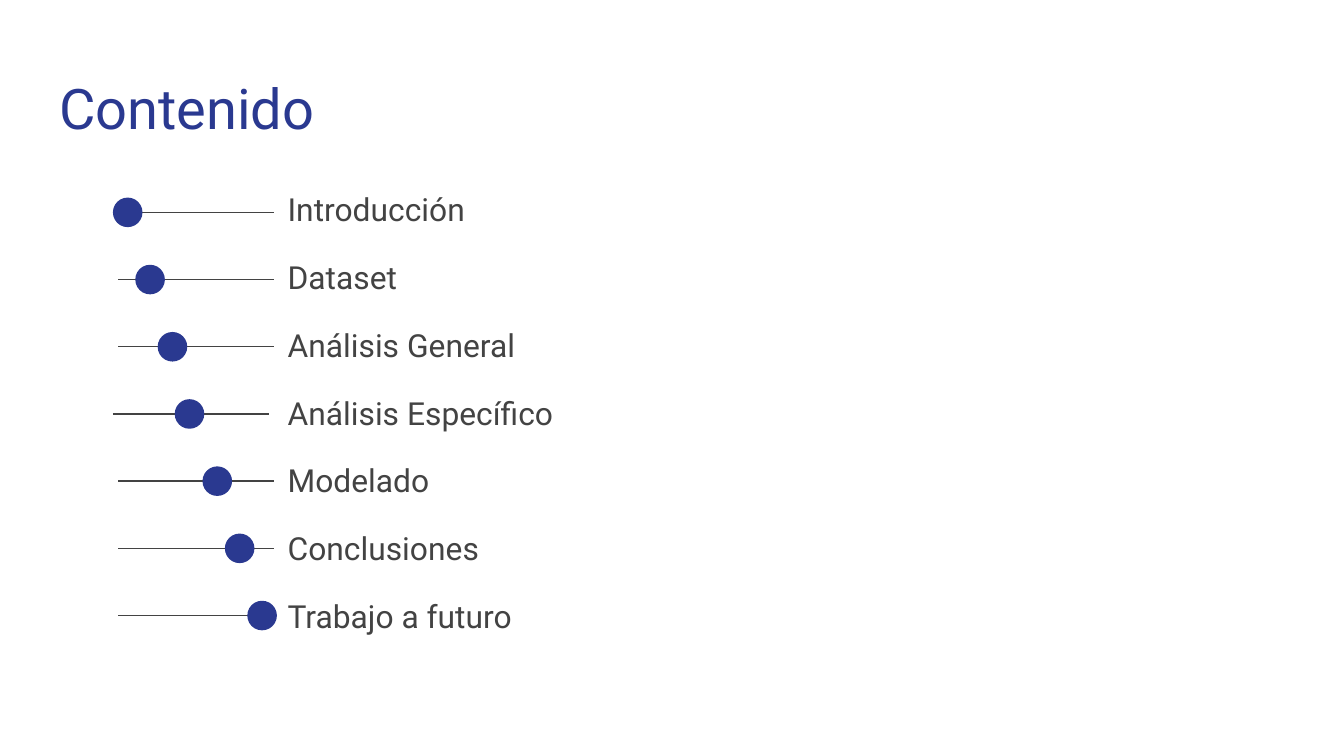
import pptx
import pptx.dml.color
import pptx.enum.shapes
import pptx.enum.text
import pptx.oxml.ns
import pptx.util
from lxml import etree
from pptx.util import Inches

FONT = "Roboto"
BLUE = "2A3990"
GRAY = "434343"
TOPICS = [
    "Introducción",
    "Dataset",
    "Análisis General",
    "Análisis Específico",
    "Modelado",
    "Conclusiones",
    "Trabajo a futuro",
]
SHIFTED_TOPIC = "Análisis Específico"
DOT_SIZE = 0.22


def rgb(color):
    return pptx.dml.color.RGBColor.from_string(color)


def place_text(placeholder, left, top, width, height, lines, size, color):
    placeholder.left, placeholder.top = Inches(left), Inches(top)
    placeholder.width, placeholder.height = Inches(width), Inches(height)
    frame = placeholder.text_frame
    frame.text = "\n".join(lines)
    frame.word_wrap = True
    frame.auto_size = pptx.enum.text.MSO_AUTO_SIZE.NONE
    frame.vertical_anchor = pptx.enum.text.MSO_ANCHOR.TOP
    frame.margin_left = frame.margin_right = Inches(0.1)
    frame.margin_top = frame.margin_bottom = Inches(0.1)
    for paragraph in frame.paragraphs:
        paragraph.alignment = pptx.enum.text.PP_ALIGN.LEFT
        paragraph.space_before = pptx.util.Pt(0)
        paragraph.font.name = FONT
        paragraph.font.size = pptx.util.Pt(size)
        paragraph.font.color.rgb = rgb(color)
    return frame


def format_topics(frame):
    for index, paragraph in enumerate(frame.paragraphs):
        paragraph.space_before = pptx.util.Pt(16 if index else 0)
        properties = paragraph._p.get_or_add_pPr()
        properties.set("marL", "0")
        properties.set("indent", "0")
        bullet = etree.Element(pptx.oxml.ns.qn("a:buNone"))
        properties.insert_element_before(bullet, "a:tabLst", "a:defRPr", "a:extLst")
    frame.paragraphs[-1].space_after = pptx.util.Pt(16)


def add_track(group, left, y):
    track = group.shapes.add_connector(
        pptx.enum.shapes.MSO_CONNECTOR.STRAIGHT,
        Inches(left), Inches(y), Inches(left + 1.16), Inches(y),
    )
    track.line.color.rgb = rgb(GRAY)
    track.line.width = pptx.util.Pt(0.75)
    etree.SubElement(track._element.spPr, pptx.oxml.ns.qn("a:effectLst"))


def add_dot(group, left, y):
    dot = group.shapes.add_shape(
        pptx.enum.shapes.MSO_SHAPE.OVAL,
        Inches(left), Inches(y - DOT_SIZE / 2), Inches(DOT_SIZE), Inches(DOT_SIZE),
    )
    dot.rotation = 270
    dot.shadow.inherit = False
    dot.fill.solid()
    dot.fill.fore_color.rgb = rgb(BLUE)
    dot.line.fill.background()


def add_slider(slide, index, topic):
    shift = -0.04 if topic == SHIFTED_TOPIC else 0
    y = 1.58 + 0.5 * index
    slider = slide.shapes.add_group_shape()
    add_track(slider, 0.88 + shift, y)
    add_dot(slider, 0.84 + index / 6 + shift, y)


def main():
    deck = pptx.Presentation()
    deck.slide_width, deck.slide_height = Inches(10), Inches(10 * 9 / 16)
    slide = deck.slides.add_slide(deck.slide_layouts[1])
    slide.background.fill.solid()
    slide.background.fill.fore_color.rgb = rgb("FFFFFF")

    title, contents = slide.placeholders
    place_text(title, 0.34, 0.45, 9.32, 0.66, ["Contenido"], 30, BLUE)
    format_topics(place_text(contents, 2.04, 1.31, 3.35, 3.86, TOPICS, 17, GRAY))
    for index, topic in enumerate(TOPICS):
        add_slider(slide, index, topic)

    deck.save("out.pptx")


if __name__ == "__main__":
    main()
